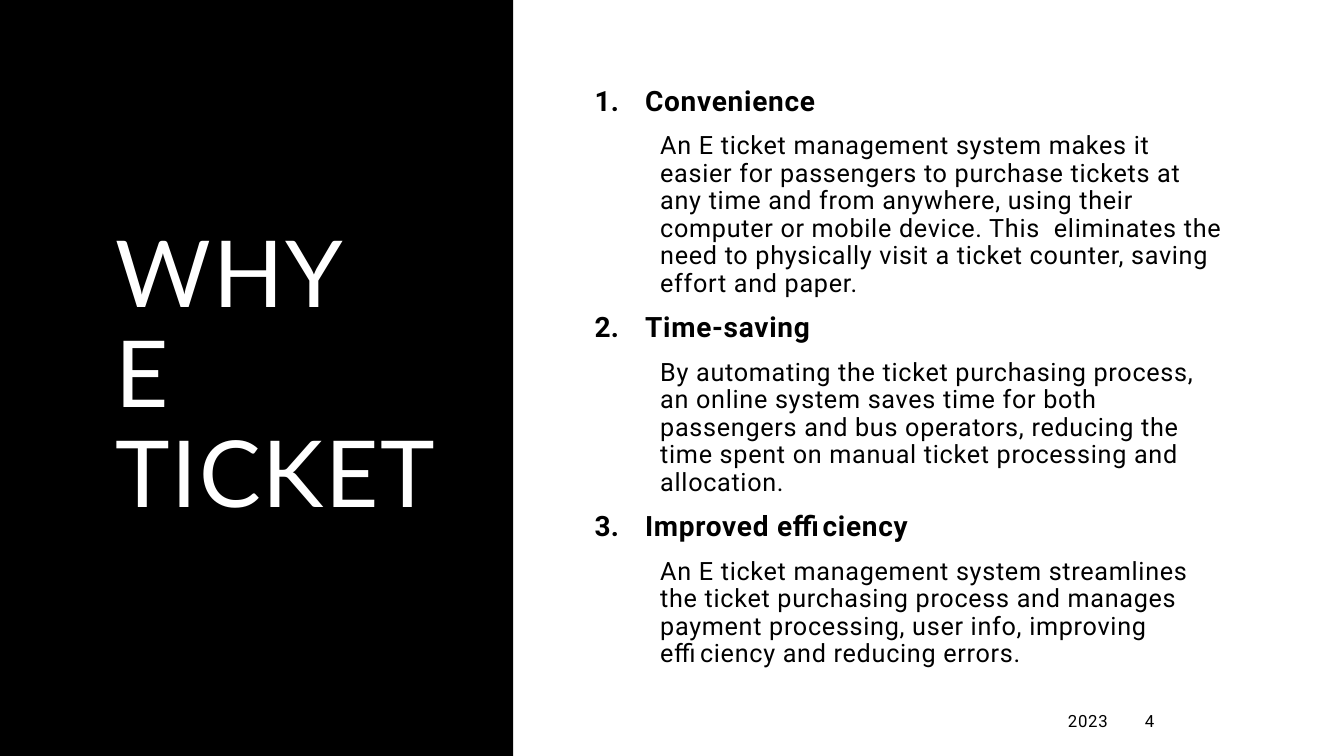
from dataclasses import dataclass

from lxml.etree import SubElement
from pptx import Presentation
from pptx.dml.color import RGBColor
from pptx.enum.shapes import MSO_SHAPE
from pptx.enum.text import MSO_ANCHOR, MSO_AUTO_SIZE, PP_ALIGN
from pptx.oxml.ns import qn
from pptx.util import Pt

# Content
TITLE = "WHY \vE TICKET"
REASONS = [
    ("Convenience",
     "An E ticket management system makes it easier for passengers to purchase "
     "tickets at any time and from anywhere, using their computer or mobile device. "
     "This  eliminates the need to physically visit a ticket counter, saving effort "
     "and paper."),
    ("Time-saving",
     "By automating the ticket purchasing process, an online system saves time for "
     "both passengers and bus operators, reducing the time spent on manual ticket "
     "processing and allocation."),
    ("Improved efficiency",
     "An E ticket management system streamlines the ticket purchasing process and "
     "manages payment processing, user info, improving efficiency and reducing errors."),
]
YEAR = "2023"
PAGE = "4"


@dataclass(frozen=True)
class Theme:
    dark: RGBColor = RGBColor(0, 0, 0)
    light: RGBColor = RGBColor(255, 255, 255)
    title_font: str = "Lato"
    body_font: str = "Roboto"
    title_size: int = 66
    heading_size: int = 20
    detail_size: int = 18
    footer_size: int = 12


THEME = Theme()

# Layout, in points: left, top, width, height
SLIDE_WIDTH, SLIDE_HEIGHT = 960, 540
PANEL_WIDTH = 366.5
CONTENT_TOP, CONTENT_HEIGHT = 50.4, 438.5
TITLE_BOX = (75.6, CONTENT_TOP, 252.7, CONTENT_HEIGHT)
BODY_BOX = (417.6, CONTENT_TOP, 466.6, CONTENT_HEIGHT)
FOOTER_TOP, FOOTER_HEIGHT = 500.4, 28.8
YEAR_BOX = (543.6, FOOTER_TOP, 254.9, FOOTER_HEIGHT)
PAGE_BOX = (810.7, FOOTER_TOP, 73.4, FOOTER_HEIGHT)


def place(shape, box):
    shape.left, shape.top, shape.width, shape.height = map(Pt, box)
    frame = shape.text_frame
    frame.word_wrap = True
    frame.auto_size = MSO_AUTO_SIZE.NONE
    frame.vertical_anchor = MSO_ANCHOR.MIDDLE


def format_runs(paragraph, font_name, size, color, bold=False, tracking=0.0):
    for run in paragraph.runs:
        run.font.name = font_name
        run.font.size = Pt(size)
        run.font.bold = bold
        run.font.color.rgb = color
        run._r.get_or_add_rPr().set("spc", str(round(tracking * 100)))


def format_reason(paragraph, size, spacing, margin, indent, numbered):
    paragraph.alignment = PP_ALIGN.LEFT
    paragraph.line_spacing = 0.91
    paragraph.space_before = paragraph.space_after = Pt(spacing)
    format_runs(paragraph, THEME.body_font, size, THEME.dark, numbered, 0.5)
    properties = paragraph._p.get_or_add_pPr()
    properties.set("marL", str(Pt(margin)))
    properties.set("indent", str(Pt(indent)))
    if numbered:
        SubElement(properties, qn("a:buFont")).set("typeface", "+mj-lt")
        SubElement(properties, qn("a:buAutoNum")).set("type", "arabicPeriod")
    else:
        SubElement(properties, qn("a:buNone"))


def add_footer(slide, text, box, alignment, tracking):
    shape = slide.shapes.add_textbox(*map(Pt, box))
    place(shape, box)
    shape.text_frame.text = text
    paragraph = shape.text_frame.paragraphs[0]
    paragraph.alignment = alignment
    paragraph.space_after = Pt(6)
    format_runs(paragraph, THEME.body_font, THEME.footer_size, THEME.dark,
                tracking=tracking)


def main():
    presentation = Presentation()
    presentation.slide_width = Pt(SLIDE_WIDTH)
    presentation.slide_height = Pt(SLIDE_HEIGHT)
    slide = presentation.slides.add_slide(presentation.slide_layouts[1])
    slide.background.fill.solid()
    slide.background.fill.fore_color.rgb = THEME.light

    # Dark panel, behind the title
    panel = slide.shapes.add_shape(MSO_SHAPE.RECTANGLE, 0, 0,
                                   Pt(PANEL_WIDTH), Pt(SLIDE_HEIGHT))
    panel.shadow.inherit = False
    panel.fill.solid()
    panel.fill.fore_color.rgb = THEME.dark
    panel.line.fill.background()
    slide.shapes._spTree.insert(2, panel._element)

    # Title
    title = slide.shapes.title
    place(title, TITLE_BOX)
    title.text_frame.text = TITLE
    paragraph = title.text_frame.paragraphs[0]
    paragraph.alignment = PP_ALIGN.LEFT
    paragraph.line_spacing = 0.9
    format_runs(paragraph, THEME.title_font, THEME.title_size, THEME.light,
                tracking=1.2)

    # Numbered reasons
    body = slide.placeholders[1]
    place(body, BODY_BOX)
    body.text_frame.text = "\n".join(line for reason in REASONS for line in reason)
    paragraphs = body.text_frame.paragraphs
    for heading, detail in zip(paragraphs[::2], paragraphs[1::2]):
        format_reason(heading, THEME.heading_size, 7, 36, -36, numbered=True)
        detail.level = 4
        format_reason(detail, THEME.detail_size, 4, 46.8, 0, numbered=False)

    # Footer
    add_footer(slide, YEAR, YEAR_BOX, PP_ALIGN.RIGHT, 0.5)
    add_footer(slide, PAGE, PAGE_BOX, PP_ALIGN.LEFT, 0)

    presentation.save("out.pptx")


if __name__ == "__main__":
    main()
